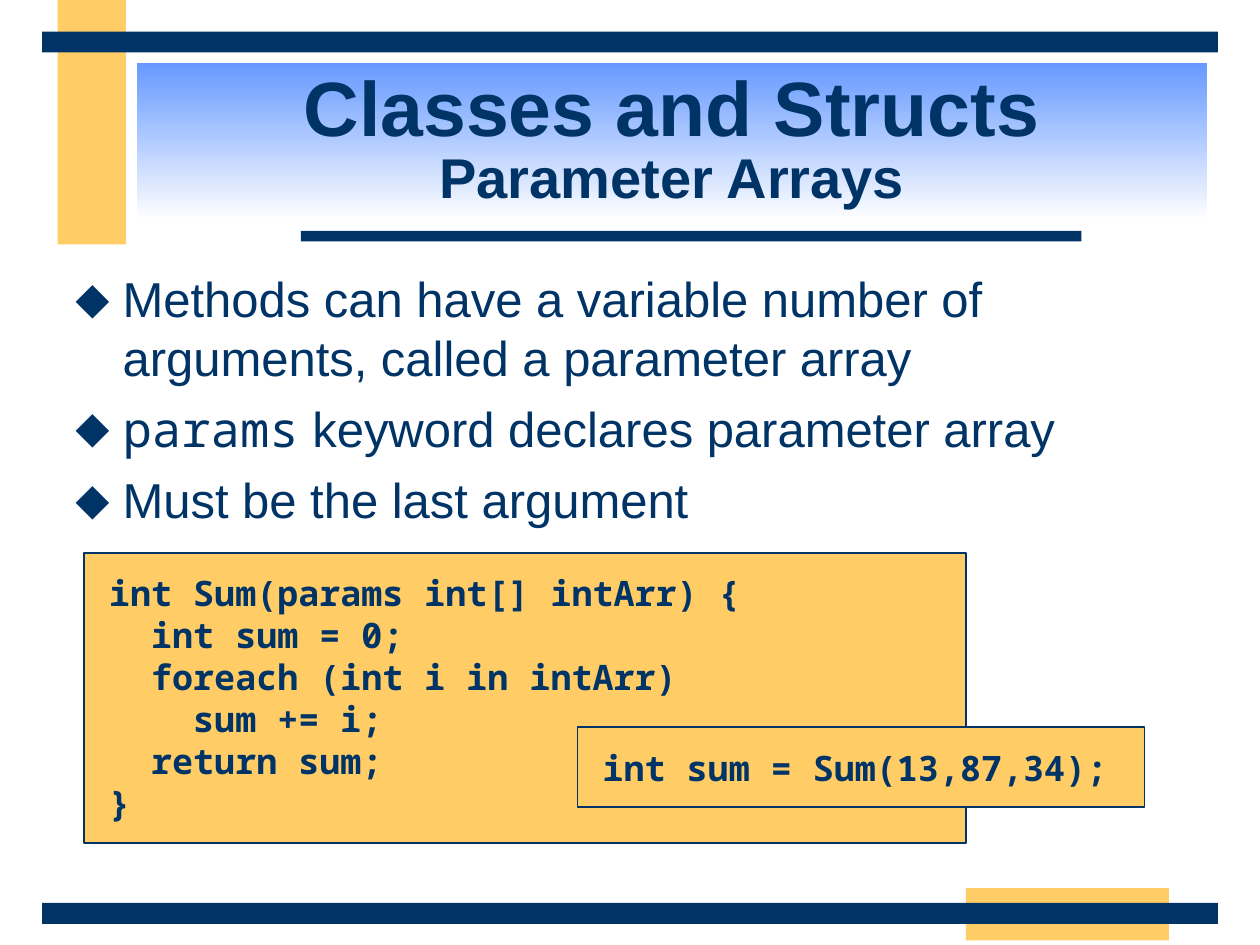
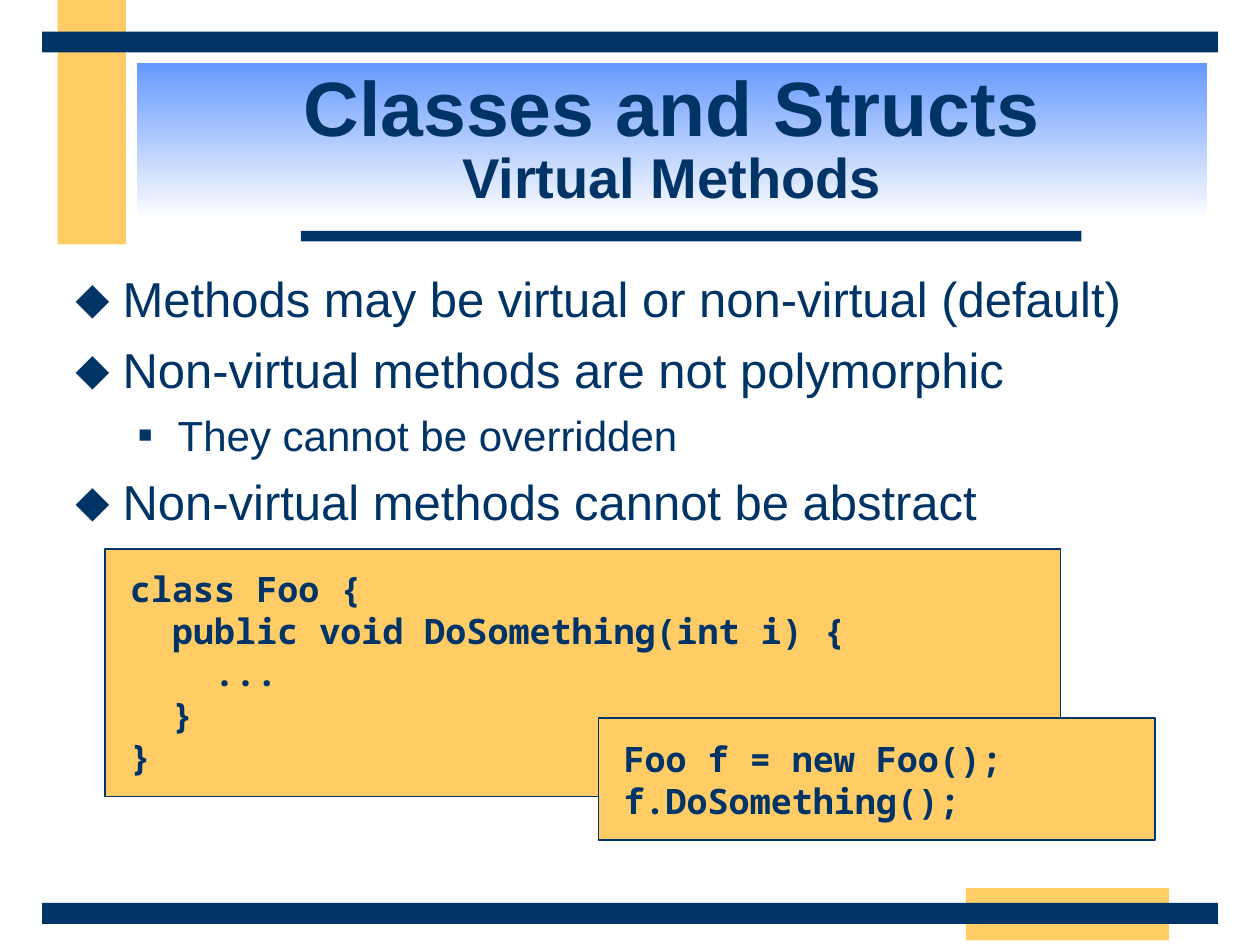
from lxml import etree
from pptx import Presentation
from pptx.dml.color import RGBColor
from pptx.enum import shapes, text
from pptx.oxml import ns
from pptx.util import Pt

NAVY, GOLD, SKY, WHITE = "003366", "FFCC66", "6699FF", "FFFFFF"
SANS, MONO = "Arial", "Noto Sans Mono"

# left, top, width, height, colour
BANDS = [
    (33, 0, 39, 139.75, GOLD),
    (552, 507.5, 116, 30, GOLD),
    (172, 132, 446, 6, NAVY),
    (24, 516, 672, 12, NAVY),
    (24, 18, 672, 12, NAVY),
]

# size, space before, left margin, hanging indent, bullet, bullet percent
LEVELS = [
    (28, 7, 27, 27, "⬥", 100),
    (24, 6, 58.5, 22.5, "■", 55),
]

# Points are (level, runs); code boxes are (left, top, width, lines)
SLIDES = [
    {
        "topic": "Parameter Arrays",
        "points": [
            (0, [("Methods can have a variable number of "
                  "arguments, called a parameter array", SANS)]),
            (0, [("params", MONO), (" keyword declares parameter array", SANS)]),
            (0, [("Must be the last argument", SANS)]),
        ],
        "code": [
            (48, 316, 504, [
                "int Sum(params int[] intArr) {",
                "  int sum = 0;",
                "  foreach (int i in intArr)",
                "    sum += i;",
                "  return sum;",
                "}",
            ]),
            (330, 415.5, 324, ["int sum = Sum(13,87,34);"]),
        ],
    },
    {
        "topic": "Virtual Methods",
        "points": [
            (0, [("Methods may be virtual or non-virtual (default)", SANS)]),
            (0, [("Non-virtual methods are not polymorphic", SANS)]),
            (1, [("They cannot be overridden", SANS)]),
            (0, [("Non-virtual methods cannot be abstract", SANS)]),
        ],
        "code": [
            (60, 313.5, 546, [
                "class Foo {",
                "  public void DoSomething(int i) {",
                "    ...",
                "  }",
                "}",
            ]),
            (342, 410.5, 318, ["Foo f = new Foo();", "f.DoSomething();"]),
        ],
    },
]


def paint(item, colour):
    """Give a fill or a font a solid colour."""
    if hasattr(item, "solid"):
        item.solid()
        item.fore_color.rgb = RGBColor.from_string(colour)
    else:
        item.color.rgb = RGBColor.from_string(colour)


def add_run(para, words, size, face, bold=False):
    run = para.add_run()
    run.text = words
    run.font.size = Pt(size)
    run.font.name = face
    run.font.bold = bold
    paint(run.font, NAVY)


prs = Presentation()
prs.slide_width, prs.slide_height = Pt(720), Pt(540)

for page in SLIDES:
    slide = prs.slides.add_slide(prs.slide_layouts[5])

    for *place, colour in BANDS:
        band = slide.shapes.add_shape(
            shapes.MSO_SHAPE.RECTANGLE, *[Pt(n) for n in place])
        band.shadow.inherit = False
        paint(band.fill, colour)
        band.line.fill.background()

    # Title on a fading panel
    title = slide.shapes.title
    title.left, title.top = Pt(78), Pt(36)
    title.width, title.height = Pt(612), Pt(90)
    title.fill.gradient()
    title.fill.gradient_angle = 270
    for stop, colour, spot in zip(title.fill.gradient_stops, (SKY, WHITE), (0, 1)):
        stop.color.rgb = RGBColor.from_string(colour)
        stop.position = spot
    frame = title.text_frame
    frame.word_wrap = True
    frame.auto_size = text.MSO_AUTO_SIZE.NONE
    frame.vertical_anchor = text.MSO_ANCHOR.MIDDLE
    para = frame.paragraphs[0]
    para.alignment = text.PP_ALIGN.CENTER
    para.line_spacing = 0.85
    add_run(para, "Classes and Structs", 44, SANS, True)
    para.add_line_break()
    add_run(para, page["topic"], 32, SANS, True)

    # Code boxes, as tall as their lines
    for left, top, width, lines in page["code"]:
        box = slide.shapes.add_shape(
            shapes.MSO_SHAPE.RECTANGLE, Pt(left), Pt(top), Pt(width),
            Pt(24 * len(lines) + 21.6))
        box.shadow.inherit = False
        paint(box.fill, GOLD)
        paint(box.line.fill, NAVY)
        box.line.width = Pt(1)
        frame = box.text_frame
        frame.word_wrap = True
        frame.auto_size = text.MSO_AUTO_SIZE.SHAPE_TO_FIT_TEXT
        frame.vertical_anchor = text.MSO_ANCHOR.TOP
        frame.margin_left = frame.margin_right = Pt(14.4)
        frame.margin_top = frame.margin_bottom = Pt(10.8)
        for i, line in enumerate(lines):
            para = frame.add_paragraph() if i else frame.paragraphs[0]
            para.alignment = text.PP_ALIGN.LEFT
            add_run(para, line, 20, MONO, True)

    # Bulleted points
    body = slide.shapes.add_textbox(Pt(36), Pt(150), Pt(648), Pt(354))
    frame = body.text_frame
    frame.word_wrap = True
    for i, (level, runs) in enumerate(page["points"]):
        size, before, margin, hang, mark, share = LEVELS[level]
        para = frame.add_paragraph() if i else frame.paragraphs[0]
        para.level = level
        para.space_before = Pt(before)
        for words, face in runs:
            add_run(para, words, size, face)
        props = para._p.get_or_add_pPr()
        props.set("marL", str(Pt(margin)))
        props.set("indent", str(-Pt(hang)))
        tint = etree.SubElement(props, ns.qn("a:buClr"))
        etree.SubElement(tint, ns.qn("a:srgbClr"), val=NAVY)
        etree.SubElement(props, ns.qn("a:buSzPct"), val=str(share * 1000))
        etree.SubElement(props, ns.qn("a:buFont"), typeface=SANS)
        etree.SubElement(props, ns.qn("a:buChar"), char=mark)

prs.save("out.pptx")
